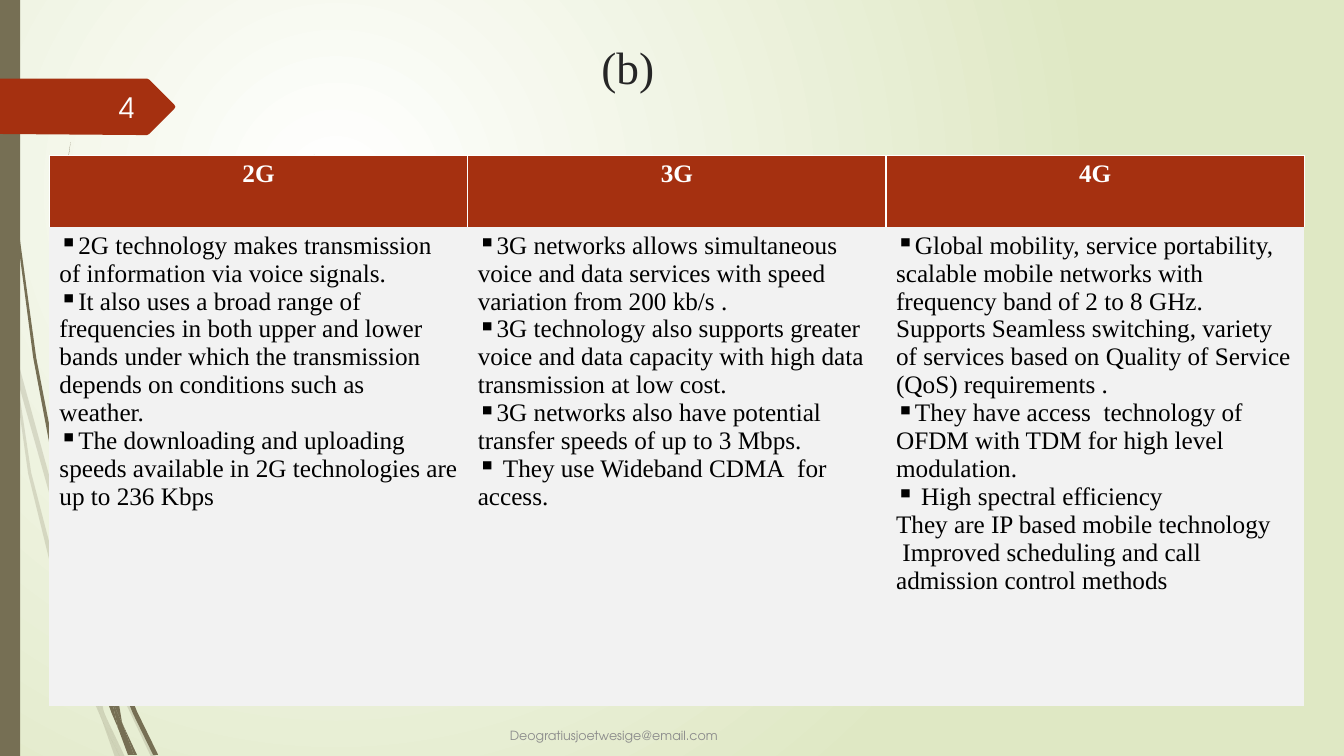
from lxml.etree import SubElement
from pptx import Presentation
from pptx.dml.color import RGBColor
from pptx.enum.shapes import MSO_SHAPE
from pptx.enum.text import MSO_ANCHOR, MSO_AUTO_SIZE, PP_ALIGN
from pptx.oxml.ns import qn
from pptx.util import Pt

# Content
TITLE = "(b)"
EMAIL = "Deogratiusjoetwesige@email.com"
PAGE = "4"
GENERATIONS = {
    "2G": [
        "2G technology makes transmission of information via voice signals.",
        "It also uses a broad range of frequencies in both upper and lower bands under which "
        "the transmission depends on conditions such as weather.\u00a0",
        "The downloading and uploading speeds available in 2G technologies are up to 236 Kbps",
    ],
    "3G": [
        "3G networks allows simultaneous voice and data services with speed variation "
        "from 200 kb/s .",
        "3G\u00a0technology also supports greater voice and data capacity with high data "
        "transmission at low cost.",
        "3G networks also\u00a0have potential transfer speeds of up to 3 Mbps.",
        "\u00a0They use Wideband CDMA\u00a0 for access.",
    ],
    "4G": [
        "Global mobility, service portability, scalable mobile networks with frequency band "
        "of 2 to 8 GHz.\u00a0\vSupports Seamless switching, variety of services based on "
        "Quality of Service (QoS) requirements\u00a0.",
        "They have access  technology of OFDM with TDM for high level modulation.",
        "\u00a0High spectral efficiency\vThey are IP based mobile technology\v"
        " Improved scheduling and call admission control methods",
    ],
}
COLORS = {
    "glow": "FFFFFF", "meadow": "DFE8C4", "olive": "766F54", "rust": "A53010",
    "title": "262626", "header": "FFFFFF", "body": "000000", "cell": "F2F2F2",
    "border": "FFFFFF", "email": "8C8C8C", "page": "FEFFFF",
}
SERIF, SANS = "Times New Roman", "TeX Gyre Adventor"

# Grass outlines, on a grid of 0.72 pt
GRID = Pt(0.72)
PALE_GRASS = [
    [(11, 350), (9, 322), (0, 282), (0, 299), (10, 344)],
    [(58, 522), (84, 599), (85, 586), (62, 520), (14, 345), (17, 376)],
    [(92, 607), (88, 596), (88, 610), (123, 694), (150, 751), (155, 751), (127, 692)],
    [(119, 751), (124, 751), (105, 711)],
    [(93, 683), (70, 619), (31, 469), (17, 376), (11, 350), (28, 470), (65, 621),
     (92, 693), (101, 714), (99, 707)],
    [(84, 599), (87, 646), (93, 683), (96, 692), (105, 711), (103, 706), (91, 646),
     (88, 610), (88, 608)],
    [(88, 584), (110, 462), (160, 349), (229, 245), (268, 198), (290, 175), (312, 154),
     (312, 153), (289, 175), (268, 197), (228, 244), (158, 348), (107, 461), (85, 584),
     (85, 586), (88, 596)],
    [(101, 714), (114, 751), (119, 751)],
    [(88, 608), (88, 610), (88, 596), (85, 586), (84, 599)],
    [(96, 692), (93, 683), (99, 707), (101, 714), (119, 751), (105, 711)],
]
DARK_GRASS = [
    [(7, 110), (17, 233), (33, 355), (56, 477), (57, 481), (55, 457), (55, 453), (36, 355),
     (19, 232), (8, 109), (5, 48), (4, 0), (3, 0), (4, 48)],
    [(88, 592), (106, 645), (106, 633), (106, 631), (93, 590), (60, 472), (64, 505)],
    [(113, 649), (110, 641), (111, 656), (132, 708), (152, 749), (157, 749), (136, 706)],
    [(110, 691), (98, 657), (72, 556), (64, 505), (57, 477), (68, 557), (93, 659),
     (111, 708), (117, 722), (116, 717)],
    [(60, 472), (58, 453), (54, 349), (58, 245), (63, 193), (70, 141), (62, 193), (56, 245),
     (52, 349), (55, 449)],
    [(133, 749), (136, 749), (122, 719)],
    [(57, 477), (64, 505), (60, 472), (55, 449), (55, 453)],
    [(111, 633), (125, 552), (158, 476), (205, 406), (231, 374), (245, 359), (261, 344),
     (260, 344), (245, 358), (231, 373), (204, 405), (156, 474), (122, 551), (106, 631),
     (110, 641)],
    [(117, 722), (127, 749), (131, 749)],
    [(106, 645), (110, 691), (116, 706), (122, 719), (121, 716), (111, 656), (109, 651)],
    [(106, 645), (109, 651), (111, 656), (110, 641), (106, 631), (106, 633)],
    [(116, 706), (110, 691), (116, 717), (117, 722), (130, 749), (133, 749), (122, 719)],
]
PAGE_TAG = [(173, 108), (148, 133), (146, 134), (136, 134), (0, 133), (0, 78), (136, 78),
            (146, 78), (148, 79), (173, 104), (174, 106)]


def rgb(name):
    return RGBColor.from_string(COLORS[name])


def style(paragraph, size, font, color, align=PP_ALIGN.LEFT, bold=False):
    paragraph.alignment = align
    face = paragraph.font
    face.size, face.name, face.bold = Pt(size), font, bold
    face.color.rgb = rgb(color)


def paint(shape, color, alpha=None):
    shape.shadow.inherit = False
    shape.fill.solid()
    shape.fill.fore_color.rgb = rgb(color)
    shape.line.fill.background()
    if alpha:
        tint = shape.fill._xPr.find(".//" + qn("a:srgbClr"))
        SubElement(tint, qn("a:alpha"), val=str(alpha * 1000))


def outline(points, color, alpha=None):
    builder = slide.shapes.build_freeform(*points[0], scale=GRID)
    builder.add_line_segments(points[1:], close=True)
    paint(builder.convert_to_shape(), color, alpha)


def label(text, left, top, width, height, *look):
    box = slide.shapes.add_textbox(Pt(left), Pt(top), Pt(width), Pt(height))
    frame = box.text_frame
    frame.word_wrap = True
    frame.vertical_anchor = MSO_ANCHOR.MIDDLE
    frame.text = text
    style(frame.paragraphs[0], *look)


def fill_cell(cell, lines, color):
    cell.fill.solid()
    cell.fill.fore_color.rgb = rgb(color)
    cell.text_frame.text = lines[0]
    for line in lines[1:]:
        cell.text_frame.add_paragraph().text = line
    return cell.text_frame.paragraphs


deck = Presentation()
deck.slide_width, deck.slide_height = Pt(960), Pt(540)
slide = deck.slides.add_slide(deck.slide_layouts[5])

# Background glow
backdrop = slide.background.fill
backdrop.gradient()
for stop, color in zip(backdrop.gradient_stops, ("glow", "meadow")):
    stop.color.rgb = rgb(color)
gradient = slide._element.find(".//" + qn("a:gradFill"))
gradient.remove(gradient.find(qn("a:lin")))
glow = SubElement(gradient, qn("a:path"), path="circle")
SubElement(glow, qn("a:fillToRect"), l="50000", t="50000", r="100000", b="100000")

# Grass, side bar and page tag
for blade in PALE_GRASS:
    outline(blade, "olive", alpha=20)
for blade in DARK_GRASS:
    outline(blade, "olive")
paint(slide.shapes.add_shape(MSO_SHAPE.RECTANGLE, 0, 0, Pt(14.4), Pt(540)), "olive")
outline(PAGE_TAG, "rust")

# Title
title = slide.shapes.title
title.left, title.top, title.width, title.height = Pt(181.4), Pt(25.2), Pt(534.2), Pt(44.6)
title.text_frame.auto_size = MSO_AUTO_SIZE.NONE
title.text_frame.text = TITLE
style(title.text_frame.paragraphs[0], 32.4, SERIF, "title", PP_ALIGN.CENTER)

# Comparison table
COLUMN, HEADER, BODY = 298.8, 51.1, 342
frame = slide.shapes.add_table(2, len(GENERATIONS), Pt(35.3), Pt(110.9),
                               Pt(COLUMN * len(GENERATIONS)), Pt(HEADER + BODY))
table = frame.table
table.horz_banding = False
table._tbl.tblPr.find(qn("a:tableStyleId")).text = "{2D5ABB26-0587-4C30-8999-92F81FD0307C}"
table.rows[0].height, table.rows[1].height = Pt(HEADER), Pt(BODY)
for column, (generation, points) in enumerate(GENERATIONS.items()):
    table.columns[column].width = Pt(COLUMN)
    head = table.cell(0, column)
    style(fill_cell(head, [generation], "rust")[0], 18, SERIF, "header", PP_ALIGN.CENTER, True)
    for place, side in enumerate(("a:lnL", "a:lnR", "a:lnT")):
        edge = head._tc.tcPr.makeelement(qn(side), {"w": str(Pt(1))})
        SubElement(SubElement(edge, qn("a:solidFill")), qn("a:srgbClr"), val=COLORS["border"])
        head._tc.tcPr.insert(place, edge)
    for paragraph in fill_cell(table.cell(1, column), points, "cell"):
        style(paragraph, 18, SERIF, "body")
        bullet = paragraph._p.pPr.makeelement(qn("a:buChar"), {"char": "▪"})
        paragraph._p.pPr.insert(0, bullet)

# Footer and page number
label(EMAIL, 357.1, 511.2, 176.4, 28.8, 9, SANS, "email")
label(PAGE, 41.8, 61.9, 61.2, 28.8, 20, SANS, "page", PP_ALIGN.RIGHT)

deck.save("out.pptx")
